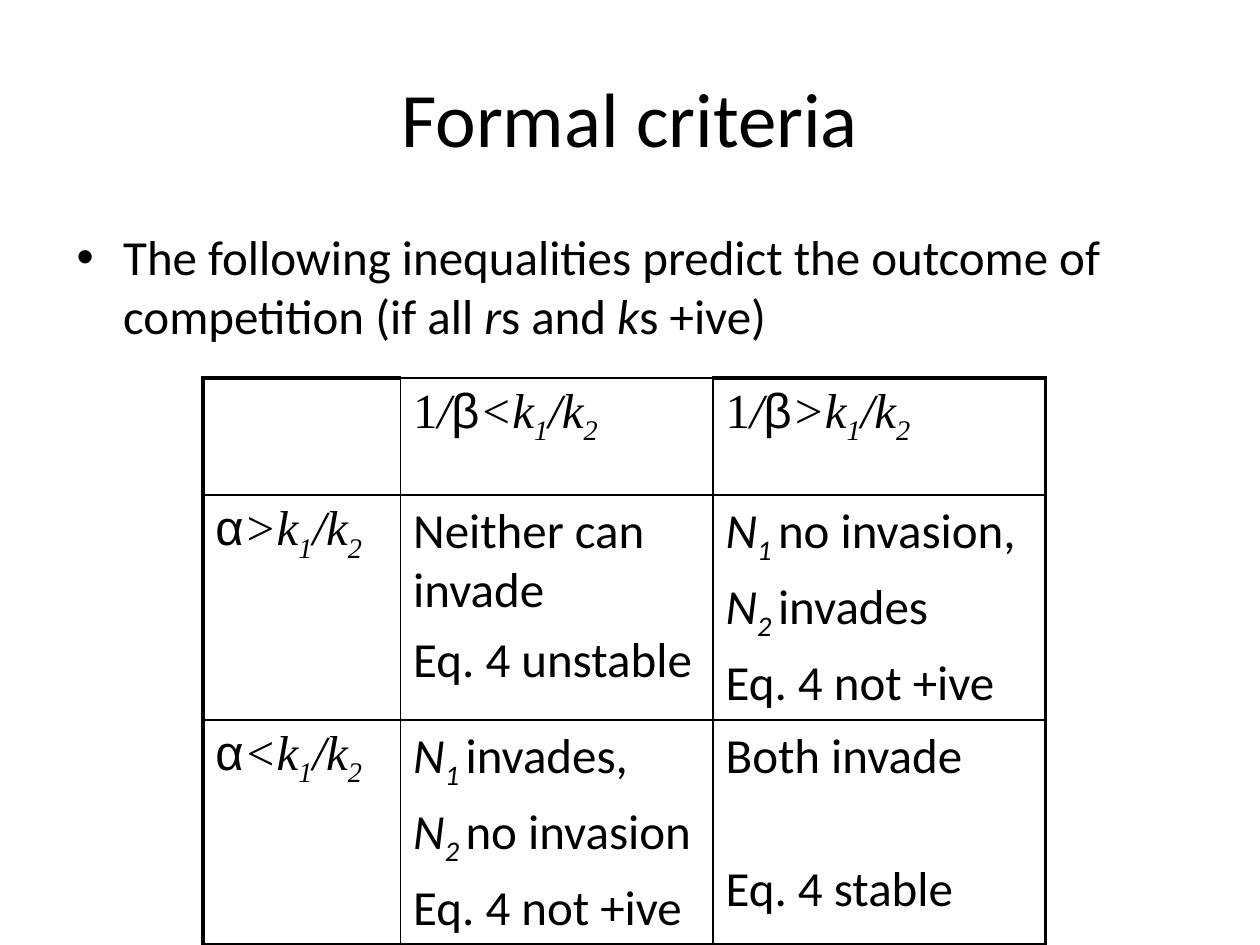
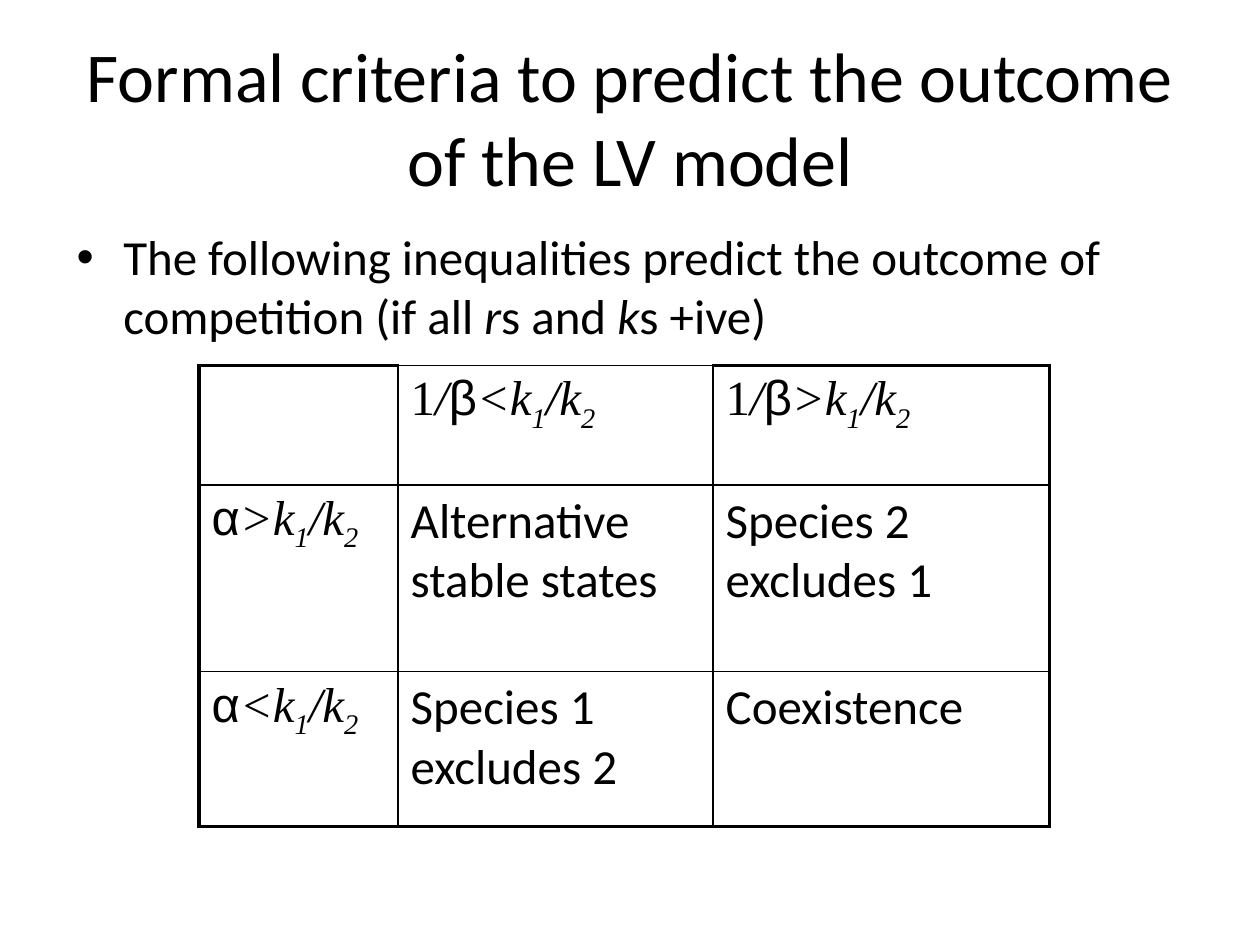
from typing import Any, NamedTuple

from lxml.etree import SubElement
from pptx import Presentation
from pptx.dml.color import RGBColor
from pptx.enum.text import MSO_ANCHOR, MSO_AUTO_SIZE, PP_ALIGN
from pptx.oxml.ns import qn
from pptx.util import Emu, Pt

PX = 9144  # 100 px to the inch
COLOURS = {"ink": "000000", "paper": "FFFFFF"}
THIN, THICK = Pt(0.96), Pt(2.21)
BODY_SIZE = 28
SPACE_BEFORE = 5.6
GAP_BEFORE = 42  # sets the last line of a cell apart by one line

# Text styles: font values, with the subscript offset kept apart
STYLES: dict[str, dict[str, Any]] = {
    "plain": {"name": "Calibri", "italic": False},
    "italic": {"name": "Calibri", "italic": True},
    "greek": {"name": "Arial", "italic": False},
    "number": {"name": "Times New Roman", "italic": False},
    "maths": {"name": "Times New Roman", "italic": True},
}
SUBSCRIPT = "-25000"


class Run(NamedTuple):
    text: str
    style: str = "plain"
    subscript: bool = False


class Line(NamedTuple):
    runs: list[Run]
    space_before: float = SPACE_BEFORE


class Box(NamedTuple):
    left: int
    top: int
    width: int
    height: int


class CriteriaSlide(NamedTuple):
    title: str
    title_size: int
    body: Box
    table_left: int
    table_top: int
    columns: list[int]
    rows: list[int]
    outcomes: list[list[list[Line]]]


def plain(text: str, space_before: float = SPACE_BEFORE) -> Line:
    return Line([Run(text)], space_before)


def species(number: int, outcome: str) -> Line:
    return Line([Run("N", "italic"), Run(f"{number} ", "italic", True), Run(outcome)])


def compared(sign: str) -> list[Run]:
    """The right-hand side of an inequality: sign and k1/k2."""
    return [Run(f"{sign}k", "maths"), Run("1", "maths", True),
            Run("/k", "maths"), Run("2", "maths", True)]


def beta_criterion(sign: str) -> list[Line]:
    return [Line([Run("1", "number"), Run("/", "maths"), Run("β", "greek"), *compared(sign)])]


def alpha_criterion(sign: str) -> list[Line]:
    return [Line([Run("α", "greek"), *compared(sign)])]


TITLE_BOX = Box(50, 30, 900, 125)
INTRODUCTION = Line([
    Run("The following inequalities predict the outcome of competition (if all "),
    Run("r", "italic"), Run("s and "), Run("k", "italic"), Run("s +ive)"),
])
SLIDES = [
    CriteriaSlide(
        "Formal criteria", 44, Box(50, 175, 907, 495), 161, 300,
        [157, 248, 264], [93, 169, 169],
        [[[plain("Neither can invade"), plain("Eq. 4 unstable")],
          [species(1, "no invasion,"), species(2, "invades"), plain("Eq. 4 not +ive")]],
         [[species(1, "invades,"), species(2, "no invasion"), plain("Eq. 4 not +ive")],
          [plain("Both invade"), plain("Eq. 4 stable", GAP_BEFORE)]]],
    ),
    CriteriaSlide(
        "Formal criteria to predict the outcome of the LV model", 40,
        Box(50, 175, 852, 495), 158, 290,
        [158, 250, 267], [95, 148, 123],
        [[[plain("Alternative stable states")], [plain("Species 2 excludes 1")]],
         [[plain("Species 1 excludes 2")], [plain("Coexistence")]]],
    ),
]


def colour(name: str) -> RGBColor:
    return RGBColor.from_string(COLOURS[name])


def apply_format(target: Any, values: dict[str, Any]) -> None:
    for attribute, value in values.items():
        setattr(target, attribute, value)


def emu_box(box: Box) -> list[Emu]:
    return [Emu(length * PX) for length in box]


def write_run(paragraph: Any, part: Run, size: float) -> None:
    run = paragraph.add_run()
    run.text = part.text
    apply_format(run.font, {"size": Pt(size), **STYLES[part.style]})
    run.font.color.rgb = colour("ink")
    if part.subscript:
        run.font._element.set("baseline", SUBSCRIPT)


def write_lines(frame: Any, lines: list[Line]) -> None:
    for index, line in enumerate(lines):
        paragraph = frame.add_paragraph() if index else frame.paragraphs[0]
        paragraph.space_before = Pt(line.space_before)
        for part in line.runs:
            write_run(paragraph, part, BODY_SIZE)


def add_title(slide: Any, text: str, size: int) -> None:
    title = slide.shapes.title
    apply_format(title, dict(zip(Box._fields, emu_box(TITLE_BOX))))
    frame = title.text_frame
    apply_format(frame, {"word_wrap": True, "auto_size": MSO_AUTO_SIZE.NONE,
                         "vertical_anchor": MSO_ANCHOR.MIDDLE})
    frame.paragraphs[0].alignment = PP_ALIGN.CENTER
    write_run(frame.paragraphs[0], Run(text), size)


def add_introduction(slide: Any, box: Box) -> None:
    frame = slide.shapes.add_textbox(*emu_box(box)).text_frame
    frame.word_wrap = True
    write_lines(frame, [INTRODUCTION])
    # Bullet with a hanging indent
    properties = frame.paragraphs[0]._p.get_or_add_pPr()
    properties.set("marL", str(38 * PX))
    properties.set("indent", str(-37 * PX))
    SubElement(properties, qn("a:buFont"), typeface="Arial")
    SubElement(properties, qn("a:buChar"), char="•")


def set_borders(cell: Any, widths: dict[str, int]) -> None:
    properties = cell._tc.get_or_add_tcPr()
    for side, width in widths.items():
        line = SubElement(properties, qn(f"a:ln{side}"), w=str(int(width)))
        fill = SubElement(line, qn("a:solidFill"))
        SubElement(fill, qn("a:srgbClr"), val=COLOURS["ink"])


def add_criteria_table(slide: Any, content: CriteriaSlide) -> None:
    box = Box(content.table_left, content.table_top, sum(content.columns), sum(content.rows))
    cells = [[[], beta_criterion("<"), beta_criterion(">")]]
    cells += [[alpha_criterion(sign), *outcomes]
              for sign, outcomes in zip("><", content.outcomes)]
    last_row, last_column = len(content.rows) - 1, len(content.columns) - 1
    table = slide.shapes.add_table(last_row + 1, last_column + 1, *emu_box(box)).table
    apply_format(table, {"first_row": False, "horz_banding": False})
    for column, width in zip(table.columns, content.columns):
        column.width = Emu(width * PX)
    for row, height in zip(table.rows, content.rows):
        row.height = Emu(height * PX)

    for row_index, row_cells in enumerate(cells):
        for column_index, lines in enumerate(row_cells):
            cell = table.cell(row_index, column_index)
            # Thick outer frame, left thin above the middle column
            thick = {
                "L": column_index == 0,
                "R": column_index == last_column,
                "T": row_index == 0 and column_index != 1,
                "B": row_index == last_row,
            }
            set_borders(cell, {side: THICK if outer else THIN for side, outer in thick.items()})
            cell.fill.solid()
            cell.fill.fore_color.rgb = colour("paper")
            write_lines(cell.text_frame, lines)


def main() -> None:
    presentation = Presentation()
    apply_format(presentation, {"slide_width": Emu(1000 * PX), "slide_height": Emu(750 * PX)})
    title_only = presentation.slide_layouts[5]
    for content in SLIDES:
        slide = presentation.slides.add_slide(title_only)
        add_title(slide, content.title, content.title_size)
        add_introduction(slide, content.body)
        add_criteria_table(slide, content)
    presentation.save("out.pptx")


if __name__ == "__main__":
    main()
